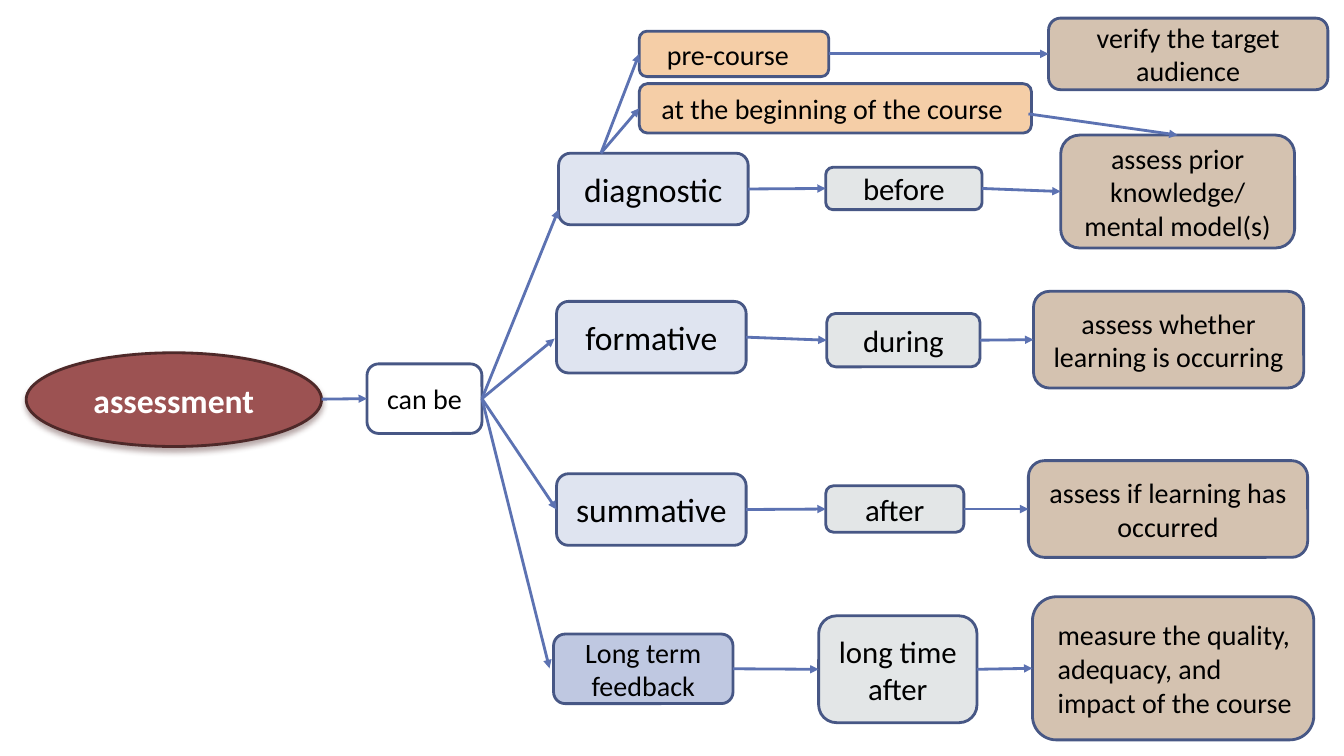
from lxml.etree import SubElement
from pptx import Presentation
from pptx.dml.color import RGBColor
from pptx.enum.shapes import MSO_CONNECTOR, MSO_SHAPE
from pptx.enum.text import MSO_ANCHOR, PP_ALIGN
from pptx.oxml import parse_xml
from pptx.oxml.ns import nsdecls, qn
from pptx.util import Pt

PX = 9144
TOP, LEFT, RIGHT = 0, 1, 3
OUTLINE, ARROW = "475785", "5C72B2"
KIND, TIMING, PURPOSE, MOMENT = "DFE4F0", "E3E6E7", "D4C2B0", "F5CEA7"


def color(hex_string):
    return RGBColor.from_string(hex_string)


def add_node(text, box, fill, size, geometry=MSO_SHAPE.ROUNDED_RECTANGLE,
             outline=OUTLINE, ink="000000"):
    node = slide.shapes.add_shape(geometry, *[v * PX for v in box])
    node.shadow.inherit = False
    if fill:
        node.fill.solid()
        node.fill.fore_color.rgb = color(fill)
    else:
        node.fill.background()
    node.line.color.rgb = color(outline)
    node.line.width = Pt(2)
    frame = node.text_frame
    frame.word_wrap = True
    frame.vertical_anchor = MSO_ANCHOR.MIDDLE
    frame.text = text
    paragraph = frame.paragraphs[0]
    paragraph.alignment = PP_ALIGN.CENTER
    font = paragraph.runs[0].font
    font.name = "Calibri"
    font.size = Pt(size)
    font.color.rgb = color(ink)
    return node


prs = Presentation()
prs.slide_width, prs.slide_height = 1333 * PX, 750 * PX
slide = prs.slides.add_slide(prs.slide_layouts[6])

assessment = add_node("assessment", (26, 350, 293, 93), "9C5252", 24,
                      MSO_SHAPE.OVAL, "4E2929", "FFFFFF")
assessment.text_frame.paragraphs[0].runs[0].font.bold = True
effects = assessment._element.spPr.find(qn("a:effectLst"))
effects.append(parse_xml(
    f'<a:outerShdw {nsdecls("a")} blurRad="50800" dist="38100" dir="5400000" rotWithShape="0">'
    '<a:srgbClr val="4E2929"><a:alpha val="40000"/></a:srgbClr></a:outerShdw>'))

can_be = add_node("can be", (364, 361, 114, 69), None, 20)
diagnostic = add_node("diagnostic", (554, 152, 188, 71), KIND, 24)
formative = add_node("formative", (552, 299, 188, 71), KIND, 24)
summative = add_node("summative", (552, 470, 188, 71), KIND, 24)
long_term = add_node("Long term feedback", (549, 629, 178, 69), "BFC8E1", 20)

before = add_node("before", (819, 166, 155, 42), TIMING, 22)
during = add_node("during", (820, 311, 152, 53), TIMING, 22)
after = add_node("after", (819, 482, 137, 46), TIMING, 22)
long_after = add_node("long time after", (812, 611, 157, 106), TIMING, 22)

prior = add_node("assess prior knowledge/ mental model(s)", (1052, 134, 232, 112), PURPOSE, 20)
whether = add_node("assess whether learning is occurring", (1025, 289, 268, 96), PURPOSE, 20)
occurred = add_node("assess if learning has occurred", (1020, 457, 277, 96), PURPOSE, 20)
quality = add_node("measure the quality, adequacy, and impact of the course",
                   (1024, 592, 279, 142), PURPOSE, 20)
quality.text_frame.paragraphs[0].alignment = PP_ALIGN.LEFT
quality.text_frame.margin_left = 18 * PX
audience = add_node("verify the target audience", (1040, 18, 277, 71), PURPOSE, 20)

pre_course = add_node("pre-course", (634, 31, 188, 45), MOMENT, 20)
pre_course.text_frame.margin_right = 22 * PX
beginning = add_node("at the beginning of the course", (634, 83, 389, 49), MOMENT, 20)
beginning.text_frame.margin_right = 16 * PX

can_be_exit, diagnostic_exit = (can_be, RIGHT), (596, 152)
links = [
    ((319, 396), (can_be, LEFT)),
    (can_be_exit, (554, 208)),
    (can_be_exit, (550, 336)),
    (can_be_exit, (summative, LEFT)),
    (can_be_exit, (545, 663)),
    (diagnostic_exit, (pre_course, LEFT)),
    (diagnostic_exit, (beginning, LEFT)),
    ((pre_course, RIGHT), (audience, LEFT)),
    ((1020, 113), (prior, TOP)),
]
for chain in [(diagnostic, before, prior), (formative, during, whether),
              (summative, after, occurred), (long_term, long_after, quality)]:
    for source, target in zip(chain, chain[1:]):
        links.append(((source, RIGHT), (target, LEFT)))

for start, end in links:
    arrow = slide.shapes.add_connector(MSO_CONNECTOR.STRAIGHT, 0, 0, 0, 0)
    if isinstance(start[0], int):
        arrow.begin_x, arrow.begin_y = [v * PX for v in start]
    else:
        arrow.begin_connect(*start)
    if isinstance(end[0], int):
        arrow.end_x, arrow.end_y = [v * PX for v in end]
    else:
        arrow.end_connect(*end)
    arrow.line.color.rgb = color(ARROW)
    arrow.line.width = Pt(2)
    SubElement(arrow.line._get_or_add_ln(), qn("a:tailEnd"), type="triangle")
    SubElement(arrow._element.spPr, qn("a:effectLst"))

prs.save("out.pptx")
